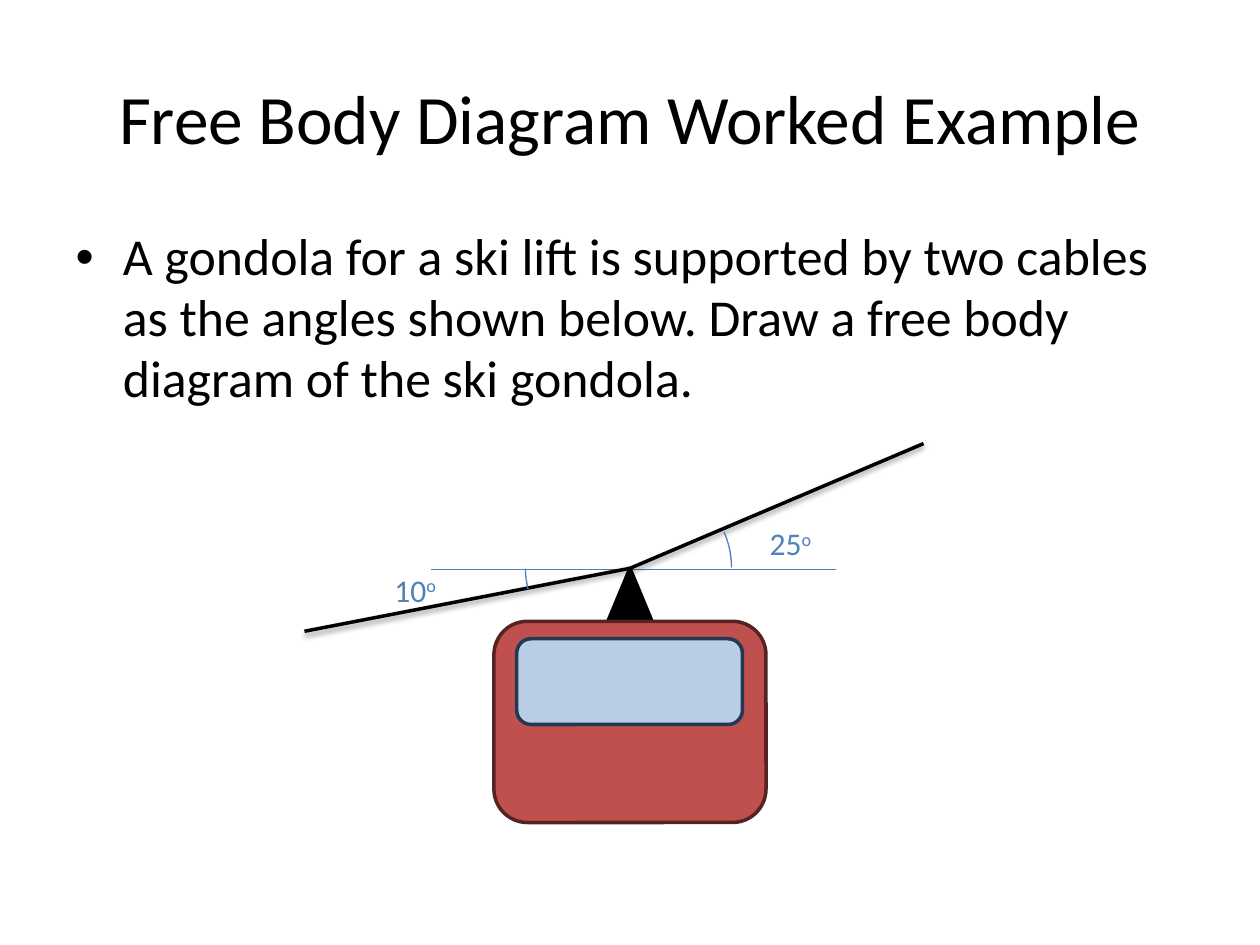
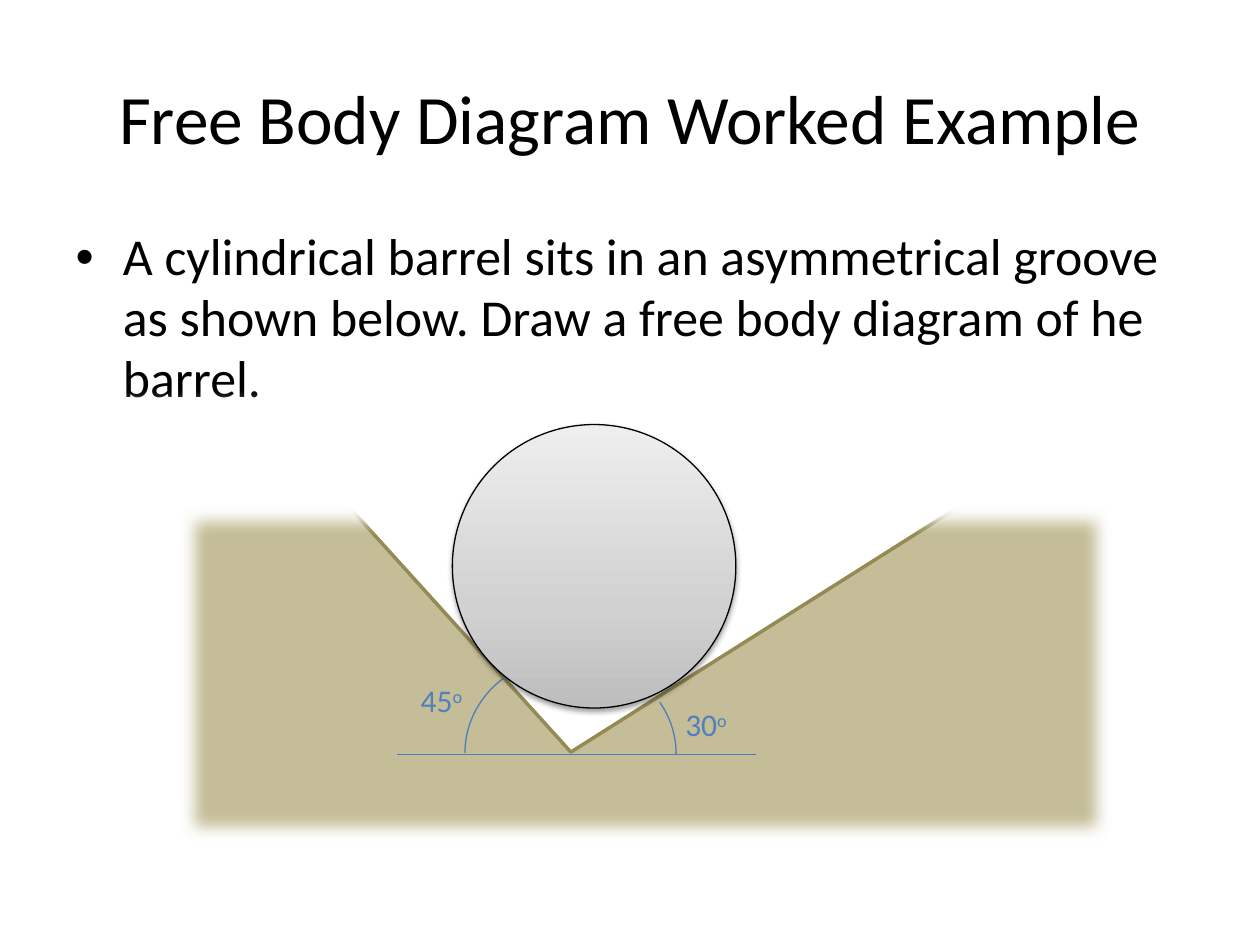
"""Build two worked-example slides on free body diagrams."""
from copy import deepcopy
from dataclasses import dataclass

from lxml.etree import SubElement
from pptx import Presentation
from pptx.dml.color import RGBColor
from pptx.enum.shapes import MSO_CONNECTOR as Connector, MSO_SHAPE as Preset
from pptx.enum.text import MSO_AUTO_SIZE as AutoSize, PP_ALIGN as Align
from pptx.oxml.ns import qn
from pptx.util import Pt


@dataclass(frozen=True)
class Theme:
    """Colours, type sizes and line widths shared by the slides."""
    font: str = "Calibri"
    title_size: float = 39.6
    body_size: float = 29.6
    label_size: float = 18
    thin: float = 0.75
    thick: float = 2
    soft_edge: float = 8.86
    black: str = "000000"
    white: str = "FFFFFF"
    label: str = "4F81BD"
    angle: str = "4B7EBC"
    cabin: str = "C0504D"
    cabin_edge: str = "542322"
    window: str = "B9CDE5"
    window_edge: str = "233953"
    ground: str = "C4BD97"
    ground_edge: str = "948A54"
    barrel: tuple = ((0, "BDBDBD"), (0.35, "D1D1D1"), (1, "EEEEEE"))


@dataclass(frozen=True)
class Box:
    """A region of the slide, in points."""
    left: float
    top: float
    width: float
    height: float

    def point(self, x, y):
        """Return the slide position of a point given relative to the box."""
        return Pt(self.left + x), Pt(self.top + y)

    def bounds(self):
        """Return left, top, width and height as lengths."""
        return Pt(self.left), Pt(self.top), Pt(self.width), Pt(self.height)


THEME = Theme()
TITLE_BOX = Box(36, 21.6, 648, 90)
BODY_BOX = Box(36, 126, 648, 97.2)
GONDOLA_BOX = Box(174, 253.5, 354, 217)
GROOVE_BOX = Box(36, 223.2, 666, 325.5)
ARC_SIZE = (120, 110)
TITLE = "Free Body Diagram Worked Example"


def color(code):
    """Turn a hex code into a colour."""
    return RGBColor.from_string(code)


def set_line(shape, code, width):
    """Give a shape or connector a solid line."""
    shape.line.color.rgb = color(code)
    shape.line.width = Pt(width)


def add_effects(shape):
    """Append an empty effect list in place of the inherited shadow."""
    return SubElement(shape.element.spPr, qn("a:effectLst"))


def add_shadow(effects):
    """Add a soft shadow that falls straight down."""
    shadow = SubElement(effects, qn("a:outerShdw"), blurRad=str(Pt(3.1)),
                        dist=str(Pt(1.6)), dir="5400000", rotWithShape="0")
    shade = SubElement(shadow, qn("a:srgbClr"), val=THEME.black)
    SubElement(shade, qn("a:alpha"), val="38000")


def add_line(slide, start, end, code, width):
    """Draw a straight line and return its effect list."""
    line = slide.shapes.add_connector(Connector.STRAIGHT, *start, *end)
    set_line(line, code, width)
    return add_effects(line)


def add_preset(slide, preset, box, position, size, fill=None, edge=None, width=THEME.thick):
    """Draw a preset shape inside a box, with an optional fill and edge."""
    shape = slide.shapes.add_shape(preset, *box.point(*position), *map(Pt, size))
    if fill:
        shape.fill.solid()
        shape.fill.fore_color.rgb = color(fill)
    else:
        shape.fill.background()
    if edge:
        set_line(shape, edge, width)
    else:
        shape.line.fill.background()
    shape.shadow.inherit = False
    return shape


def add_angle(slide, box, arc_position, start, end, label_position, degrees):
    """Draw an angle arc between two directions and its label in degrees."""
    arc = add_preset(slide, Preset.ARC, box, arc_position, ARC_SIZE,
                     edge=THEME.angle, width=THEME.thin)
    for index, direction in enumerate((start, end)):
        arc.adjustments[index] = direction * 0.6
    label = slide.shapes.add_textbox(*box.point(*label_position), Pt(39.6), Pt(28.8))
    label.text_frame.word_wrap = False
    paragraph = label.text_frame.paragraphs[0]
    for text in (degrees, "o"):
        run = paragraph.add_run()
        run.text = text
        run.font.name = THEME.font
        run.font.size = Pt(THEME.label_size)
        run.font.color.rgb = color(THEME.label)
    run.font._element.set("baseline", "30000")


def fill_placeholder(placeholder, box, text, size):
    """Move a placeholder to a box and set its text."""
    placeholder.left, placeholder.top, placeholder.width, placeholder.height = box.bounds()
    frame = placeholder.text_frame
    frame.text = text
    frame.word_wrap = True
    frame.auto_size = AutoSize.NONE
    paragraph = frame.paragraphs[0]
    paragraph.space_before = Pt(0)
    font = paragraph.runs[0].font
    font.name, font.size = THEME.font, Pt(size)
    font.color.rgb = color(THEME.black)
    return paragraph


def add_example(presentation, question):
    """Add a slide with the shared title and a question."""
    slide = presentation.slides.add_slide(presentation.slide_layouts[1])
    heading = fill_placeholder(slide.shapes.title, TITLE_BOX, TITLE, THEME.title_size)
    heading.alignment = Align.CENTER
    body = fill_placeholder(slide.placeholders[1], BODY_BOX, question, THEME.body_size)
    body.line_spacing = 0.98
    return slide


def draw_gondola(slide, box):
    """Draw the gondola hanging from two cables."""
    hub = box.point(186, 71.25)
    add_line(slide, box.point(72.25, 72), box.point(304, 72), THEME.angle, THEME.thin)
    add_preset(slide, Preset.ISOSCELES_TRIANGLE, box, (171, 71.25), (30, 36),
               THEME.black, THEME.black)
    add_preset(slide, Preset.ROUNDED_RECTANGLE, box, (108.25, 101.5), (155.5, 115),
               THEME.cabin, THEME.cabin_edge)
    add_preset(slide, Preset.ROUNDED_RECTANGLE, box, (121.25, 111.5), (129, 49),
               THEME.window, THEME.window_edge)
    for cable_end in ((0, 107.25), (353.75, 0)):
        add_shadow(add_line(slide, box.point(*cable_end), hub, THEME.black, THEME.thick))
    add_angle(slide, box, (124, 15.8), 339.9, 0, (258.75, 42.5), "25")
    add_angle(slide, box, (126.25, 15.8), 168.08, 179.3, (44.25, 69), "10")


def draw_ground(slide, box):
    """Draw the ground with its asymmetrical groove."""
    start, *others = [box.point(*corner) for corner in (
        (27.4, 48.2), (146.9, 48.2), (290.2, 206.6), (542.9, 46.8),
        (619.2, 46.8), (620.6, 294.5), (30.2, 289.4))]
    builder = slide.shapes.build_freeform(*start)
    builder.add_line_segments(others, close=True)
    ground = builder.convert_to_shape()
    ground.fill.solid()
    ground.fill.fore_color.rgb = color(THEME.ground)
    set_line(ground, THEME.ground_edge, THEME.thick)
    ground.shadow.inherit = False


def draw_fading_edge(slide, box):
    """Lay a white soft-edged frame over the rim of the ground."""
    frame = add_preset(slide, Preset.FRAME, box, (0, 0), (box.width, box.height), THEME.white)
    frame.adjustments[0] = 0.257
    effects = frame.element.spPr.find(qn("a:effectLst"))
    SubElement(effects, qn("a:softEdge"), rad=str(Pt(THEME.soft_edge)))


def draw_barrel(slide, box):
    """Draw the shaded barrel resting in the groove."""
    barrel = add_preset(slide, Preset.OVAL, box, (222.5, 19.4), (162, 162),
                        edge=THEME.black, width=THEME.thin)
    barrel.fill.gradient()
    barrel.fill.gradient_angle = 90
    stop_list = barrel.element.spPr.find(".//" + qn("a:gsLst"))
    stop_list.insert(1, deepcopy(stop_list[0]))
    for stop, (position, code) in zip(barrel.fill.gradient_stops, THEME.barrel):
        stop.position = position
        stop.color.rgb = color(code)
    add_shadow(barrel.element.spPr.find(qn("a:effectLst")))


def draw_groove(slide, box):
    """Draw the barrel in the groove with both slope angles."""
    draw_ground(slide, box)
    add_angle(slide, box, (229.7, 151.9), 179.85, 228.25, (197.3, 162.7), "45")
    add_angle(slide, box, (230.4, 152.6), 329.67, 0, (348.5, 176.4), "30")
    add_line(slide, box.point(190.8, 208.1), box.point(396, 208.1), THEME.angle, THEME.thin)
    draw_fading_edge(slide, box)
    draw_barrel(slide, box)


def main():
    """Build and save the presentation."""
    presentation = Presentation()
    presentation.slide_width, presentation.slide_height = Pt(720), Pt(540)
    gondola = add_example(presentation, "A gondola for a ski lift is supported by two cables "
                          "as the angles shown below. Draw a free body diagram of the ski gondola.")
    draw_gondola(gondola, GONDOLA_BOX)
    groove = add_example(presentation, "A cylindrical barrel sits in an asymmetrical groove "
                         "as shown below. Draw a free body diagram of he barrel.")
    draw_groove(groove, GROOVE_BOX)
    presentation.save("out.pptx")


if __name__ == "__main__":
    main()
